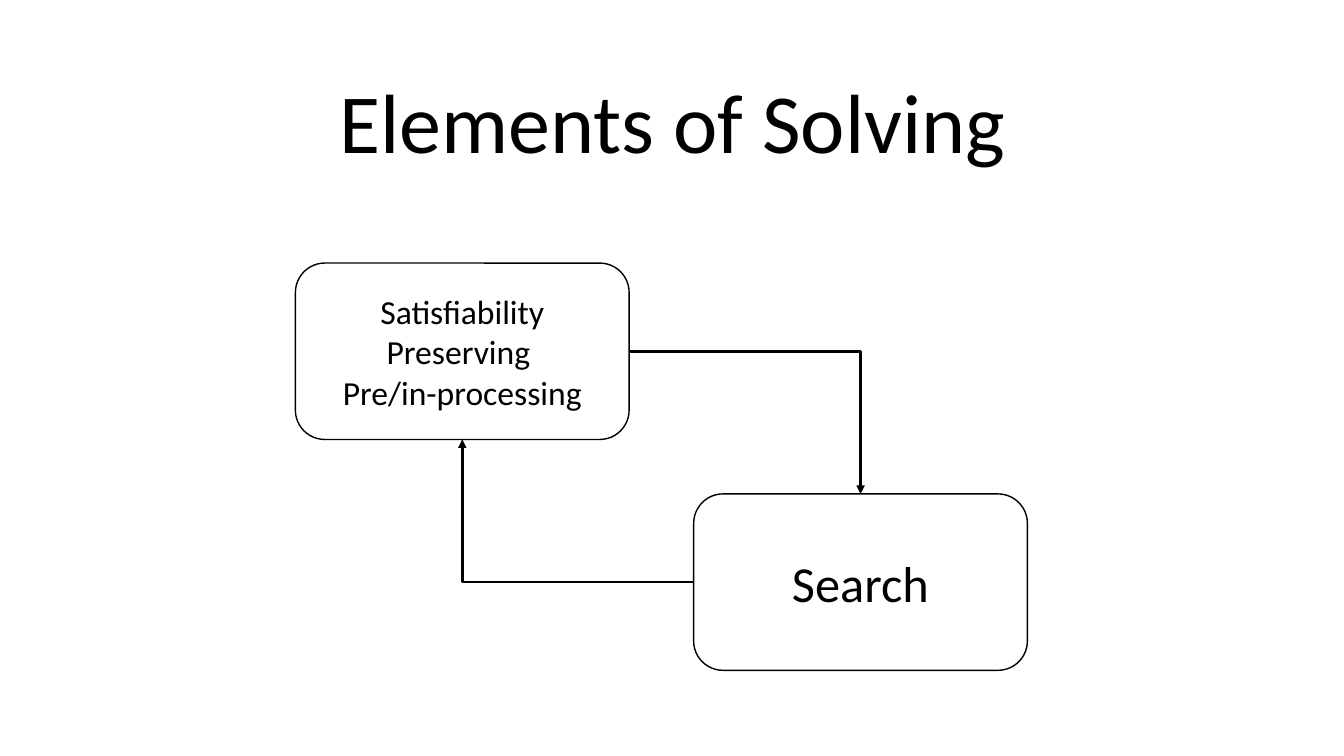
from pptx import Presentation
from pptx.dml.color import RGBColor
from pptx.enum.shapes import MSO_CONNECTOR as Link, MSO_SHAPE as Shape
from pptx.enum.text import MSO_ANCHOR as Anchor, PP_ALIGN as Align
from pptx.oxml.ns import qn
from pptx.util import Inches, Pt
from lxml.etree import SubElement

COLORS = {"ink": "000000", "paper": "FFFFFF"}
TOP, LEFT, BOTTOM, RIGHT = range(4)
STAGE_WIDTH, STAGE_HEIGHT = 3.31, 1.75


def color(name):
    return RGBColor.from_string(COLORS[name])


def write(frame, text, size, anchor, spacing=1.0):
    frame.word_wrap = True
    frame.vertical_anchor = anchor
    paragraph = frame.paragraphs[0]
    paragraph.text = text
    paragraph.alignment = Align.CENTER
    paragraph.line_spacing = spacing
    for name, value in {"name": "Calibri", "size": Pt(size)}.items():
        setattr(paragraph.runs[0].font, name, value)
        for run in paragraph.runs[1:]:
            setattr(run.font, name, value)
    for run in paragraph.runs:
        run.font.color.rgb = color("ink")


def add_heading(slide, left, top, width, height):
    heading = slide.shapes.add_textbox(*map(Inches, (left, top, width, height)))
    write(heading.text_frame, "Elements of Solving", 60, Anchor.BOTTOM, 0.9)


def add_stage(slide, left, top, text, size):
    box = map(Inches, (left, top, STAGE_WIDTH, STAGE_HEIGHT))
    stage = slide.shapes.add_shape(Shape.ROUNDED_RECTANGLE, *box)
    stage.shadow.inherit = False
    stage.fill.solid()
    stage.fill.fore_color.rgb = color("paper")
    stage.line.color.rgb = color("ink")
    stage.line.width = Pt(1)
    write(stage.text_frame, text, size, Anchor.MIDDLE)
    return stage


def add_arrow(slide, source, source_side, target, target_side):
    arrow = slide.shapes.add_connector(Link.ELBOW, 0, 0, 0, 0)
    arrow.begin_connect(source, source_side)
    arrow.end_connect(target, target_side)
    arrow.line.color.rgb = color("ink")
    arrow.line.width = Pt(2)
    properties = arrow._element.spPr
    properties.find(qn("a:prstGeom")).set("prst", "bentConnector2")
    SubElement(properties.find(qn("a:ln")), qn("a:tailEnd"), type="triangle")
    SubElement(properties, qn("a:effectLst"))


def add_cycle(slide, left, top):
    processing = add_stage(
        slide, left, top, "Satisfiability Preserving \vPre/in-processing", 24
    )
    search = add_stage(slide, left + 3.95, top + 2.29, "Search", 36)
    add_arrow(slide, processing, RIGHT, search, TOP)
    add_arrow(slide, search, LEFT, processing, BOTTOM)


def main():
    deck = Presentation()
    deck.slide_width, deck.slide_height = Inches(13.33), Inches(7.5)
    slide = deck.slides.add_slide(deck.slide_layouts[6])
    add_heading(slide, 1.67, 0.65, 10, 1.1)
    add_cycle(slide, 2.93, 2.61)
    deck.save("out.pptx")


if __name__ == "__main__":
    main()
